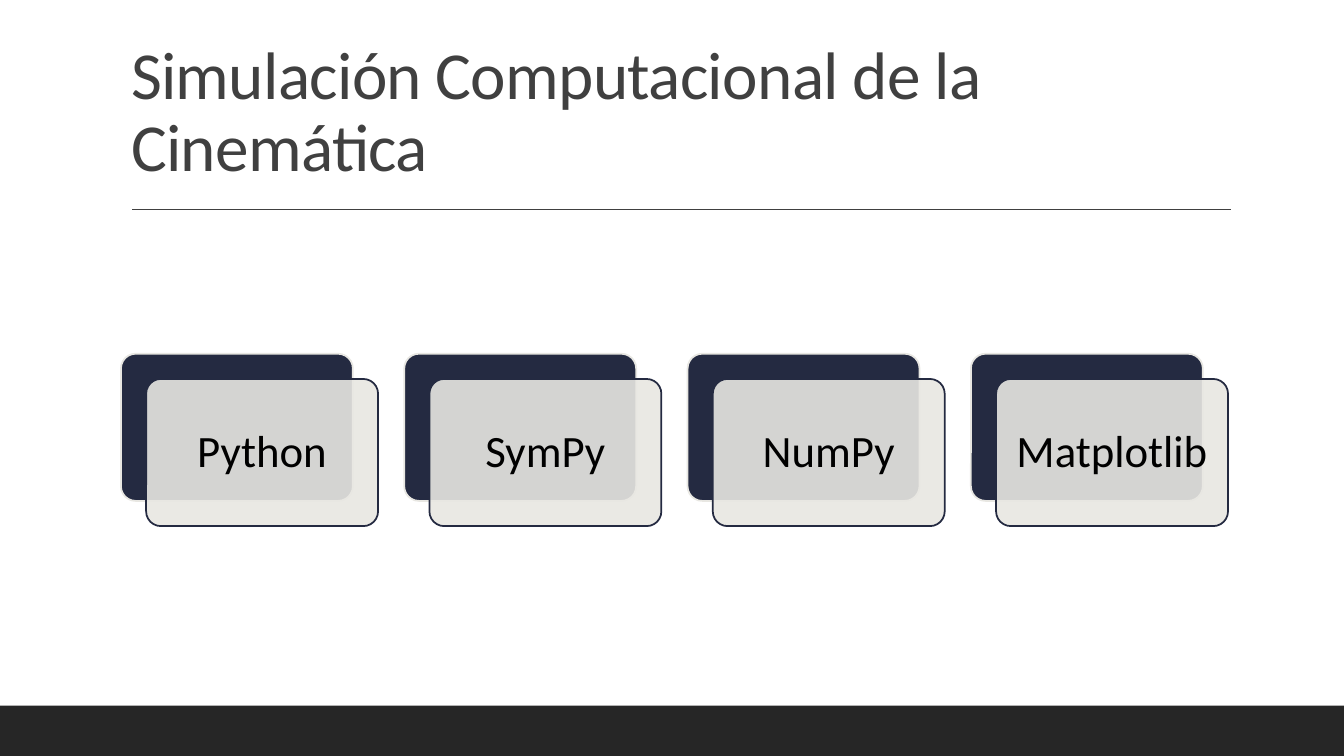
from dataclasses import dataclass

from lxml import etree
from pptx import Presentation
from pptx.dml.color import RGBColor
from pptx.enum.shapes import MSO_CONNECTOR, MSO_SHAPE
from pptx.enum.text import MSO_ANCHOR, MSO_AUTO_SIZE, PP_ALIGN
from pptx.oxml.ns import qn
from pptx.shapes.autoshape import Shape
from pptx.slide import Slide
from pptx.text.text import TextFrame
from pptx.util import Inches, Pt

RECT, ROUND = MSO_SHAPE.RECTANGLE, MSO_SHAPE.ROUNDED_RECTANGLE
STRAIGHT = MSO_CONNECTOR.STRAIGHT
LEFT, CENTER = PP_ALIGN.LEFT, PP_ALIGN.CENTER
BOTTOM, MIDDLE = MSO_ANCHOR.BOTTOM, MSO_ANCHOR.MIDDLE
FIXED = MSO_AUTO_SIZE.NONE


@dataclass(frozen=True)
class Theme:
    font: str = "Calibri"
    head: str = "404040"
    band: str = "262626"
    navy: str = "242A41"
    sand: str = "E8E7E2"
    ink: str = "000000"
    head_size: float = 48
    card_size: float = 32


@dataclass(frozen=True)
class Box:
    left: float
    top: float
    width: float
    height: float

    def shift(self, right: float, down: float) -> "Box":
        return Box(self.left + right, self.top + down, self.width, self.height)


THEME = Theme()
TOOLS = ("Python", "SymPy", "NumPy", "Matplotlib")
CARD = Box(1.2, 3.51, 2.3, 1.46)
PITCH = 2.81
OFFSET = 0.25


def write(frame: TextFrame, text: str, *, size: float, color: str,
          align: PP_ALIGN, anchor: MSO_ANCHOR, inset: tuple[float, float],
          track: int = 0) -> None:
    frame.word_wrap = True
    frame.auto_size = FIXED
    frame.vertical_anchor = anchor
    frame.margin_left = frame.margin_right = Inches(inset[0])
    frame.margin_top = frame.margin_bottom = Inches(inset[1])
    para = frame.paragraphs[0]
    para.alignment = align
    para.line_spacing = 0.9
    run = para.add_run()
    run.text = text
    run.font.name = THEME.font
    run.font.size = Pt(size)
    run.font.color.rgb = RGBColor.from_string(color)
    if track:
        run.font._element.set("spc", str(track))


def place(shape: Shape, box: Box) -> None:
    shape.left, shape.top = Inches(box.left), Inches(box.top)
    shape.width, shape.height = Inches(box.width), Inches(box.height)


def panel(slide: Slide, kind: MSO_SHAPE, box: Box, fill: str,
          line: str = "", alpha: int = 100) -> Shape:
    shape = slide.shapes.add_shape(kind, 0, 0, 0, 0)
    place(shape, box)
    shape.shadow.inherit = False
    shape.fill.solid()
    shape.fill.fore_color.rgb = RGBColor.from_string(fill)
    if kind == ROUND:
        shape.adjustments[0] = 0.1
    if line:
        shape.line.color.rgb = RGBColor.from_string(line)
        shape.line.width = Pt(1.25)
    else:
        shape.line.fill.background()
    if alpha < 100:
        color = shape._element.spPr.find(qn("a:solidFill"))[0]
        etree.SubElement(color, qn("a:alpha")).set("val", str(alpha * 1000))
    return shape


def rule(slide: Slide, left: float, right: float, top: float) -> None:
    line = slide.shapes.add_connector(
        STRAIGHT, Inches(left), Inches(top), Inches(right), Inches(top))
    line.line.color.rgb = RGBColor.from_string(THEME.head)
    line.line.width = Pt(1)
    etree.SubElement(line._element.spPr, qn("a:effectLst"))


def card(slide: Slide, box: Box, label: str) -> None:
    panel(slide, ROUND, box, THEME.navy, THEME.sand)
    front = panel(slide, ROUND, box.shift(OFFSET, OFFSET), THEME.sand,
                  THEME.navy, alpha=90)
    write(front.text_frame, label, size=THEME.card_size, color=THEME.ink,
          align=CENTER, anchor=MIDDLE, inset=(0.13, 0.13))


def main() -> None:
    deck = Presentation()
    deck.slide_width, deck.slide_height = Inches(13.33), Inches(7.5)
    slide = deck.slides.add_slide(deck.slide_layouts[5])

    # Title, rule and footer band
    title = slide.shapes.title
    place(title, Box(1.2, 0.31, 11, 1.59))
    write(title.text_frame, "Simulación Computacional de la Cinemática",
          size=THEME.head_size, color=THEME.head, align=LEFT, anchor=BOTTOM,
          inset=(0.1, 0.05), track=-50)
    rule(slide, 1.31, 12.21, 2.08)
    panel(slide, RECT, Box(0, 7, 13.33, 0.5), THEME.band)

    # Row of tool cards
    for index, tool in enumerate(TOOLS):
        card(slide, CARD.shift(index * PITCH, 0), tool)

    deck.save("out.pptx")


if __name__ == "__main__":
    main()
